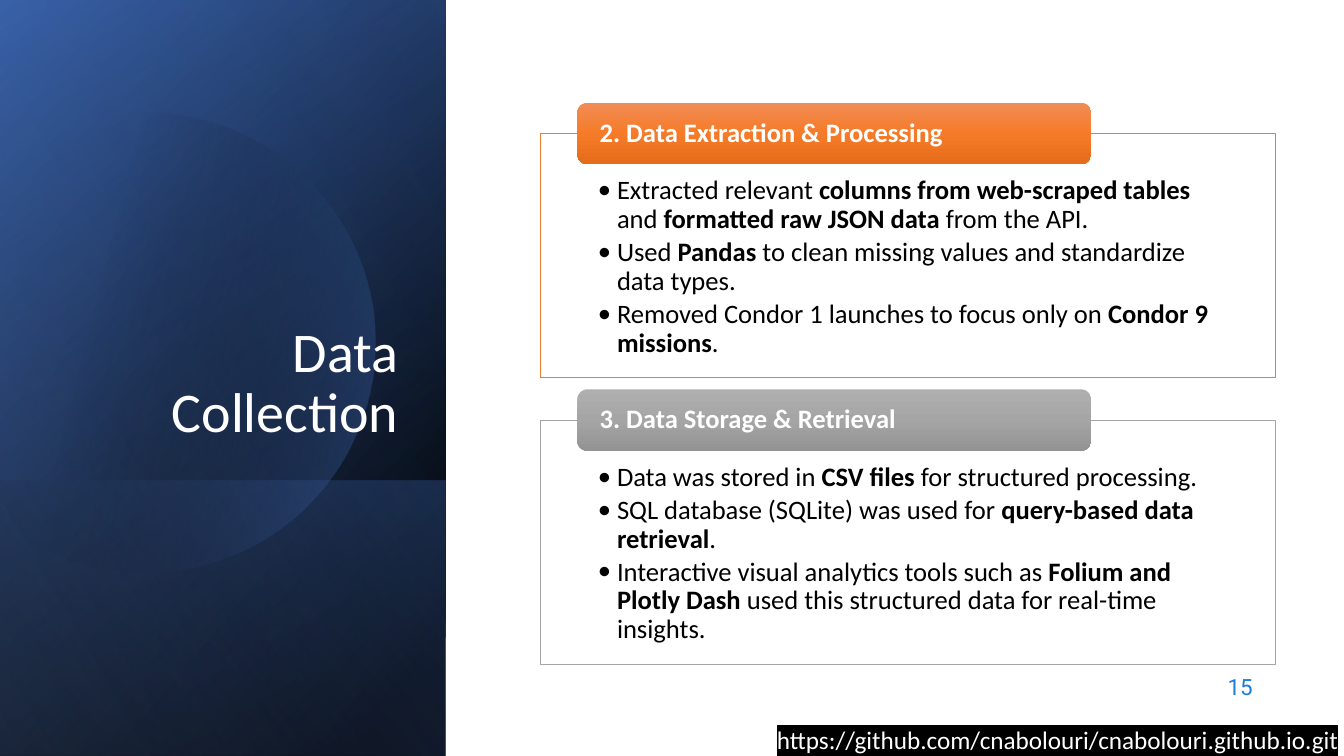
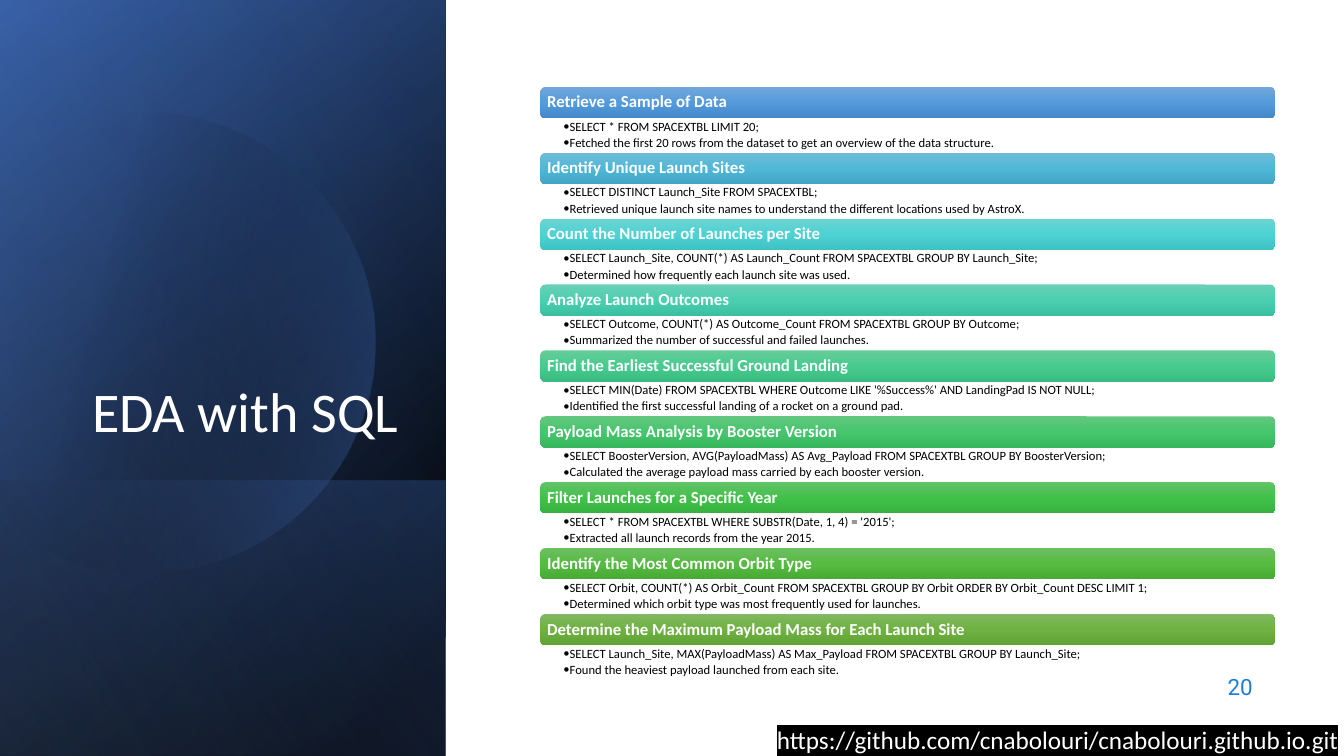
from dataclasses import dataclass
from math import acos, cos, sin

from lxml import etree
from pptx import Presentation
from pptx.dml.color import RGBColor
from pptx.enum.shapes import MSO_SHAPE
from pptx.enum.text import MSO_ANCHOR, PP_ALIGN
from pptx.oxml.ns import qn
from pptx.util import Cm, Pt

RECTANGLE, ROUNDED = MSO_SHAPE.RECTANGLE, MSO_SHAPE.ROUNDED_RECTANGLE
TOP, MIDDLE, BOTTOM = MSO_ANCHOR.TOP, MSO_ANCHOR.MIDDLE, MSO_ANCHOR.BOTTOM
LEFT, RIGHT = PP_ALIGN.LEFT, PP_ALIGN.RIGHT


@dataclass(frozen=True)
class Theme:
    font: str = "Calibri"
    number_font: str = "Roboto"
    white: str = "FFFFFF"
    black: str = "000000"
    blue: str = "4472C4"
    deep_blue: str = "2F5597"
    pale_blue: str = "8FAADC"
    number_blue: str = "1C7DDB"
    title_size: float = 40
    card_size: float = 19
    link_size: float = 18
    number_size: float = 16
    query_title_size: float = 12
    query_size: float = 9


theme = Theme()


def fill_gradient(shape, stops, angle):
    """Fill with (position %, colour, opacity %) stops; the angle runs clockwise."""
    shape.fill.gradient()
    gradient = shape.element.spPr.find(qn("a:gradFill"))
    stop_list = gradient.find(qn("a:gsLst"))
    for old_stop in list(stop_list):
        stop_list.remove(old_stop)
    for position, color, opacity in stops:
        stop = etree.SubElement(stop_list, qn("a:gs"), pos=str(position * 1000))
        color_element = etree.SubElement(stop, qn("a:srgbClr"), val=color)
        if opacity < 100:
            etree.SubElement(color_element, qn("a:alpha"), val=str(opacity * 1000))
    gradient.find(qn("a:lin")).set("ang", str(angle * 60000))
    shape.line.fill.background()
    shape.shadow.inherit = False


def write_text(shape, paragraphs, size, color, font=theme.font, bold=False, align=LEFT,
               anchor=TOP, insets=(0.25, 0.13, 0.25, 0.13), spacing=0.9, after=0,
               bullet_indent=0):
    """Write paragraphs given as lists of runs, in which every second run is bold."""
    frame = shape.text_frame
    frame.word_wrap = True
    frame.vertical_anchor = anchor
    (frame.margin_left, frame.margin_top,
     frame.margin_right, frame.margin_bottom) = [Cm(inset) for inset in insets]
    for index, runs in enumerate(paragraphs):
        paragraph = frame.add_paragraph() if index else frame.paragraphs[0]
        if bullet_indent:
            properties = paragraph._p.get_or_add_pPr()
            properties.set("marL", str(Cm(bullet_indent)))
            properties.set("indent", str(-Cm(bullet_indent)))
            etree.SubElement(properties, qn("a:buFont"), typeface=font)
            etree.SubElement(properties, qn("a:buChar"), char="•")
        paragraph.alignment = align
        paragraph.line_spacing = spacing
        paragraph.space_after = Pt(after)
        for run_index, text in enumerate(runs):
            run = paragraph.add_run()
            run.text = text
            run.font.name = font
            run.font.size = Pt(size)
            run.font.bold = bold or run_index % 2 == 1
            run.font.color.rgb = RGBColor.from_string(color)


SLIDE_WIDTH, SLIDE_HEIGHT = 33.87, 19.05
PANEL_WIDTH, LOWER_PANEL_TOP = 11.23, 12.1
CIRCLE_X, CIRCLE_Y, CIRCLE_RADIUS = 3.66, 8.64, 5.8
CONTENT_LEFT, CONTENT_WIDTH = 13.62, 18.52
LINK_LEFT, LINK_TOP = 19.33, 18.11
LINK = "https://github.com/cnabolouri/cnabolouri.github.io.git"

# Panel layers from back to front: top edge, stops, angle
layers_behind_circle = [
    (0, [(8, theme.black, 100), (100, theme.deep_blue, 100)], 220),
    (0, [(0, theme.black, 0), (99, theme.blue, 46)], 240),
    (LOWER_PANEL_TOP, [(2, theme.blue, 29), (100, theme.black, 30)], 140),
]
circle_stops = [(29, theme.black, 0), (100, theme.blue, 43)]
layers_over_circle = [(0, [(0, theme.black, 0), (99, theme.pale_blue, 11)], 150)]

presentation = Presentation()
presentation.slide_width = Cm(SLIDE_WIDTH)
presentation.slide_height = Cm(SLIDE_HEIGHT)
blank_layout = presentation.slide_layouts[6]

# Shared parts: panel, title, page number, link
slides = []
for title, number in [("Data Collection", "15"), ("EDA with SQL", "20")]:
    slide = presentation.slides.add_slide(blank_layout)
    slides.append(slide)
    shapes = slide.shapes

    for layers in (layers_behind_circle, layers_over_circle):
        if layers is layers_over_circle:
            # The arc is cut off by the left edge of the slide
            half_arc = acos(-CIRCLE_X / CIRCLE_RADIUS)
            angles = [half_arc * (step / 60 - 1) for step in range(121)]
            arc = [(Cm(CIRCLE_X + CIRCLE_RADIUS * cos(angle)),
                    Cm(CIRCLE_Y + CIRCLE_RADIUS * sin(angle))) for angle in angles]
            builder = shapes.build_freeform(*arc[0])
            builder.add_line_segments(arc[1:], close=True)
            fill_gradient(builder.convert_to_shape(), circle_stops, 14)
        for top, stops, angle in layers:
            layer = shapes.add_shape(RECTANGLE, 0, Cm(top), Cm(PANEL_WIDTH),
                                     Cm(SLIDE_HEIGHT - top))
            fill_gradient(layer, stops, angle)

    title_box = shapes.add_textbox(Cm(1.63), Cm(4.69), Cm(8.66), Cm(6.65))
    write_text(title_box, [[title]], theme.title_size, theme.white,
               align=RIGHT, anchor=BOTTOM, after=6)

    number_box = shapes.add_textbox(Cm(24.2), Cm(16.74), Cm(7.62), Cm(1.12))
    write_text(number_box, [[number]], theme.number_size, theme.number_blue,
               font=theme.number_font, align=RIGHT, anchor=MIDDLE, spacing=1.0)

    # Without a right inset the link fits on one line up to the slide edge
    link_box = shapes.add_textbox(Cm(LINK_LEFT), Cm(LINK_TOP), Cm(SLIDE_WIDTH - LINK_LEFT),
                                  Cm(SLIDE_HEIGHT - LINK_TOP))
    write_text(link_box, [[LINK]], theme.link_size, theme.white,
               insets=(0.25, 0.13, 0, 0), spacing=1.0)
    link_properties = link_box.text_frame.paragraphs[0].runs[0].font._element
    highlight = etree.Element(qn("a:highlight"))
    etree.SubElement(highlight, qn("a:srgbClr"), val=theme.black)
    link_properties.find(qn("a:solidFill")).addnext(highlight)

collection_slide, query_slide = slides

# Data Collection: two cards with a header tab
cards = [
    ("2. Data Extraction & Processing", "ED7D31", ("F18C57", "F67B28", "E56C19"), [
        ["Extracted relevant ", "columns from web-scraped tables", " and ",
         "formatted raw JSON data", " from the API."],
        ["Used ", "Pandas", " to clean missing values and standardize data types."],
        ["Removed Condor 1 launches to focus only on ", "Condor 9 missions", "."],
    ]),
    ("3. Data Storage & Retrieval", "A5A5A5", ("AFAFAF", "A5A5A5", "939393"), [
        ["Data was stored in ", "CSV files", " for structured processing."],
        ["SQL database (SQLite) was used for ", "query-based data retrieval", "."],
        ["Interactive visual analytics tools such as ", "Folium and Plotly Dash",
         " used this structured data for real-time insights."],
    ]),
]
CARD_TOP, CARD_PITCH, CARD_HEIGHT = 3.37, 7.22, 6.15
TAB_RISE, TAB_HEIGHT = 0.78, 1.55

for index, (heading, line_color, colors, bullets) in enumerate(cards):
    top = CARD_TOP + index * CARD_PITCH
    card = collection_slide.shapes.add_shape(
        RECTANGLE, Cm(CONTENT_LEFT), Cm(top), Cm(CONTENT_WIDTH), Cm(CARD_HEIGHT))
    card.shadow.inherit = False
    card.fill.solid()
    card.fill.fore_color.rgb = RGBColor.from_string(theme.white)
    card.line.color.rgb = RGBColor.from_string(line_color)
    card.line.width = Pt(0.5)
    write_text(card, bullets, theme.card_size, theme.black,
               insets=(1.45, 1.09, 1.45, 0.38), after=3, bullet_indent=0.48)

    tab = collection_slide.shapes.add_shape(
        ROUNDED, Cm(14.55), Cm(top - TAB_RISE), Cm(12.95), Cm(TAB_HEIGHT))
    fill_gradient(tab, [(i * 50, color, 100) for i, color in enumerate(colors)], 90)
    write_text(tab, [[heading]], theme.card_size, theme.white, bold=True,
               anchor=MIDDLE, insets=(0.49, 0, 0.49, 0))

# EDA with SQL: a bar, the query and its purpose in each row
queries = [
    ("Retrieve a Sample of Data", ("71A6DB", "559BDB", "448ACA"),
     "SELECT * FROM SPACEXTBL LIMIT 20;",
     "Fetched the first 20 rows from the dataset to get an overview of the data structure."),
    ("Identify Unique Launch Sites", ("6FBCD7", "51B7D7", "41A6C6"),
     "SELECT DISTINCT Launch_Site FROM SPACEXTBL;",
     "Retrieved unique launch site names to understand the different locations used by AstroX."),
    ("Count the Number of Launches per Site", ("6CD3D3", "4ED2D3", "3EC2C3"),
     "SELECT Launch_Site, COUNT(*) AS Launch_Count FROM SPACEXTBL GROUP BY Launch_Site;",
     "Determined how frequently each launch site was used."),
    ("Analyze Launch Outcomes", ("69D0B6", "4BCFB1", "3BBFA1"),
     "SELECT Outcome, COUNT(*) AS Outcome_Count FROM SPACEXTBL GROUP BY Outcome;",
     "Summarized the number of successful and failed launches."),
    ("Find the Earliest Successful Ground Landing", ("67CC9A", "47CB8E", "39BB7F"),
     "SELECT MIN(Date) FROM SPACEXTBL WHERE Outcome LIKE '%Success%' "
     "AND LandingPad IS NOT NULL;",
     "Identified the first successful landing of a rocket on a ground pad."),
    ("Payload Mass Analysis by Booster Version", ("65C77F", "45C66C", "36B65D"),
     "SELECT BoosterVersion, AVG(PayloadMass) AS Avg_Payload FROM SPACEXTBL "
     "GROUP BY BoosterVersion;",
     "Calculated the average payload mass carried by each booster version."),
    ("Filter Launches for a Specific Year", ("63C368", "42C14A", "34B23D"),
     "SELECT * FROM SPACEXTBL WHERE SUBSTR(Date, 1, 4) = '2015';",
     "Extracted all launch records from the year 2015."),
    ("Identify the Most Common Orbit Type", ("6EBF61", "55BB41", "49AB35"),
     "SELECT Orbit, COUNT(*) AS Orbit_Count FROM SPACEXTBL GROUP BY Orbit "
     "ORDER BY Orbit_Count DESC LIMIT 1;",
     "Determined which orbit type was most frequently used for launches."),
    ("Determine the Maximum Payload Mass for Each Launch Site",
     ("81B861", "6FB242", "62A336"),
     "SELECT Launch_Site, MAX(PayloadMass) AS Max_Payload FROM SPACEXTBL "
     "GROUP BY Launch_Site;",
     "Found the heaviest payload launched from each site."),
]
ROW_TOP, ROW_PITCH, BAR_HEIGHT = 2.19, 1.66, 0.79

for index, (heading, colors, query, purpose) in enumerate(queries):
    top = ROW_TOP + index * ROW_PITCH
    bar = query_slide.shapes.add_shape(
        ROUNDED, Cm(CONTENT_LEFT), Cm(top), Cm(CONTENT_WIDTH), Cm(BAR_HEIGHT))
    fill_gradient(bar, [(i * 50, color, 100) for i, color in enumerate(colors)], 90)
    write_text(bar, [[heading]], theme.query_title_size, theme.white, bold=True,
               anchor=MIDDLE, insets=(0.13, 0.13, 0.13, 0.13))

    details = query_slide.shapes.add_textbox(
        Cm(CONTENT_LEFT), Cm(top + BAR_HEIGHT), Cm(CONTENT_WIDTH), Cm(ROW_PITCH - BAR_HEIGHT))
    write_text(details, [[query], [purpose]], theme.query_size, theme.black,
               insets=(0.58, 0.05, 0.23, 0.05), after=1.8, bullet_indent=0.15)

presentation.save("out.pptx")
